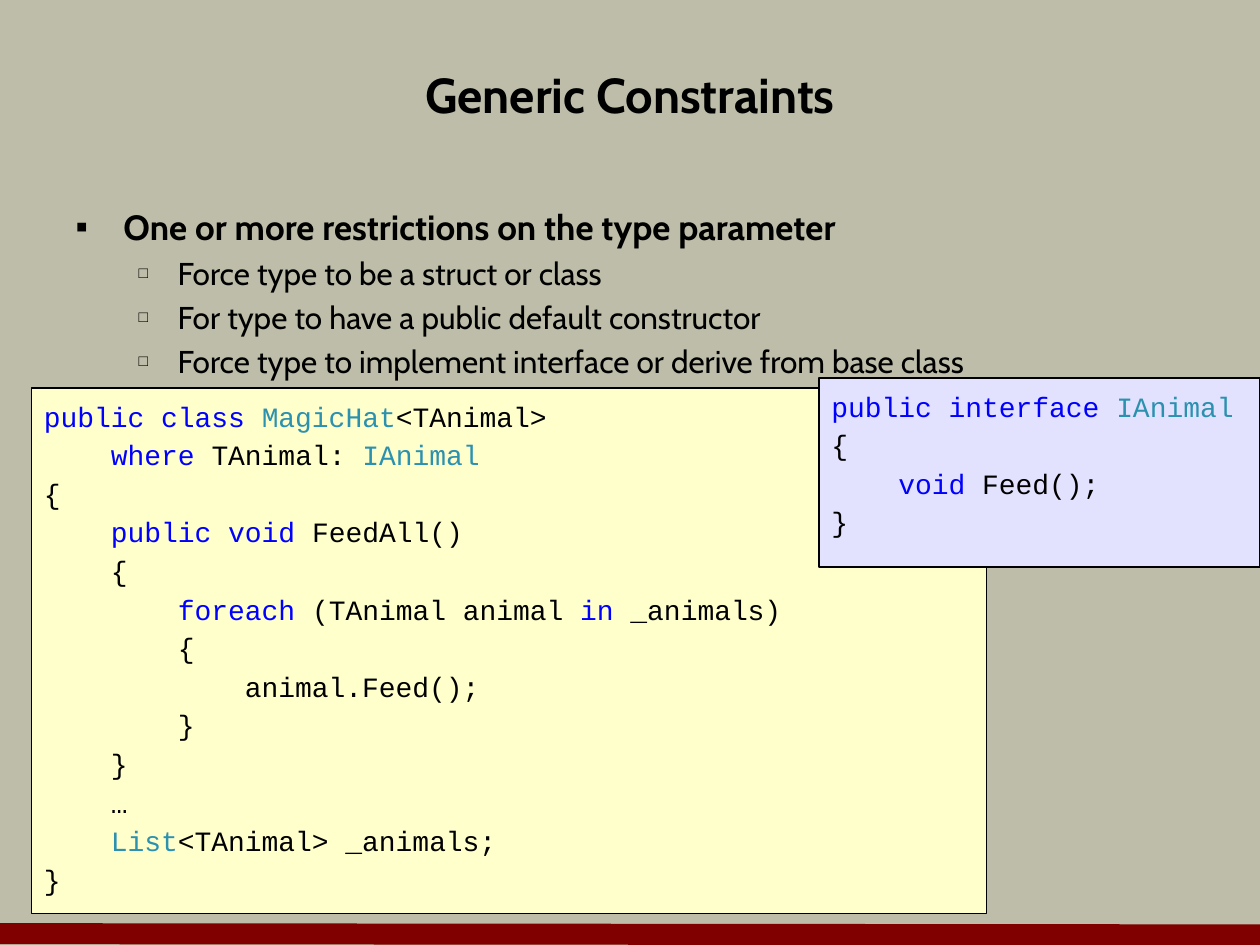
from dataclasses import dataclass

from lxml.etree import SubElement
from pptx import Presentation
from pptx.dml.color import RGBColor
from pptx.enum.shapes import MSO_CONNECTOR, MSO_SHAPE
from pptx.enum.text import MSO_ANCHOR, MSO_AUTO_SIZE, PP_ALIGN
from pptx.oxml.ns import qn
from pptx.slide import Slide
from pptx.util import Inches, Pt

COLORS = {
    "background": "BDBDA9",
    "footer": "800000",
    "text": "000000",
    "keyword": "0000FF",
    "type": "2B91AF",
    "class_box": "FFFFCC",
    "interface_box": "E2E2FF",
}

BULLETS = [
    (0, "One or more restrictions on the type parameter"),
    (1, "Force type to be a struct or class"),
    (1, "For type to have a public default constructor"),
    (1, "Force type to implement interface or derive from base class"),
]

LEVELS = [
    {"size": 20, "left": 0.38, "hanging": 0.38, "mark": "▪", "percent": 100},
    {"size": 18, "left": 0.81, "hanging": 0.31, "mark": "□", "percent": 50},
]

CLASS_CODE = [
    [("keyword", "public class "), ("type", "MagicHat"), ("text", "<TAnimal>")],
    [("keyword", "    where "), ("text", "TAnimal: "), ("type", "IAnimal")],
    [("text", "{")],
    [("keyword", "    public void "), ("text", "FeedAll()")],
    [("text", "    {")],
    [("keyword", "        foreach"), ("text", " (TAnimal animal "),
     ("keyword", "in"), ("text", " _animals)")],
    [("text", "        {")],
    [("text", "            animal.Feed();")],
    [("text", "        }")],
    [("text", "    }")],
    [("text", "    …")],
    [("type", "    List"), ("text", "<TAnimal> _animals;")],
    [("text", "}")],
]

INTERFACE_CODE = [
    [("keyword", "public interface "), ("type", "IAnimal")],
    [("text", "{")],
    [("keyword", "    void"), ("text", " Feed();")],
    [("text", "}")],
]


def color(name):
    return RGBColor.from_string(COLORS[name])


def place(shape, left, top, width, height):
    shape.left, shape.top = Inches(left), Inches(top)
    shape.width, shape.height = Inches(width), Inches(height)


@dataclass
class SlideBuilder:
    page: Slide
    text_font: str = "Cabin"
    code_font: str = "Courier New"
    code_size: int = 16

    def background(self, name):
        fill = self.page.background.fill
        fill.solid()
        fill.fore_color.rgb = color(name)

    def line(self, start, end, name, width):
        points = [Inches(value) for value in (*start, *end)]
        line = self.page.shapes.add_connector(MSO_CONNECTOR.STRAIGHT, *points)
        line.line.color.rgb = color(name)
        line.line.width = Pt(width)
        SubElement(line._element.spPr, qn("a:effectLst"))

    def style(self, para, size, bold):
        para.font.name = self.text_font
        para.font.size = Pt(size)
        para.font.bold = bold
        para.font.color.rgb = color("text")

    def title(self, text, *bounds):
        title = self.page.shapes.title
        place(title, *bounds)
        frame = title.text_frame
        frame.text = text
        frame.auto_size = MSO_AUTO_SIZE.NONE
        frame.vertical_anchor = MSO_ANCHOR.MIDDLE
        para = frame.paragraphs[0]
        para.alignment = PP_ALIGN.CENTER
        self.style(para, 28, True)

    def bullets(self, items, *bounds):
        body = self.page.placeholders[1]
        place(body, *bounds)
        frame = body.text_frame
        frame.text = "\n".join(text for _, text in items)
        frame.auto_size = MSO_AUTO_SIZE.NONE
        for index, (para, (level, _)) in enumerate(zip(frame.paragraphs, items)):
            look = LEVELS[level]
            para.level = level
            para.space_before = Pt(look["size"] * 0.2 if index else 0)
            properties = para._p.get_or_add_pPr()
            properties.set("marL", str(Inches(look["left"])))
            properties.set("indent", str(-Inches(look["hanging"])))
            SubElement(properties, qn("a:buSzPct"), val=str(look["percent"] * 1000))
            SubElement(properties, qn("a:buChar"), char=look["mark"])
            self.style(para, look["size"], level == 0)

    def code(self, lines, fill, *bounds):
        box = self.page.shapes.add_shape(
            MSO_SHAPE.RECTANGLE, *[Inches(value) for value in bounds])
        box.shadow.inherit = False
        box.fill.solid()
        box.fill.fore_color.rgb = color(fill)
        box.line.color.rgb = color("text")
        box.line.width = Pt(0.75)
        frame = box.text_frame
        frame.word_wrap = True
        frame.vertical_anchor = MSO_ANCHOR.TOP
        for index, spans in enumerate(lines):
            para = frame.add_paragraph() if index else frame.paragraphs[0]
            para.alignment = PP_ALIGN.LEFT
            para.line_spacing = 1.15
            para.font.name = self.code_font
            para.font.size = Pt(self.code_size)
            for name, text in spans:
                span = para.add_run()
                span.text = text
                span.font.color.rgb = color(name)


def main():
    deck = Presentation()
    deck.slide_width, deck.slide_height = Inches(10), Inches(7.5)
    builder = SlideBuilder(deck.slides.add_slide(deck.slide_layouts[1]))
    builder.background("background")
    builder.line((0, 7.41), (10, 7.42), "footer", 12)
    builder.title("Generic Constraints", 0.5, 0.33, 9, 0.83)
    builder.bullets(BULLETS, 0.5, 1.58, 9, 4.92)
    builder.code(CLASS_CODE, "class_box", 0.25, 3.08, 7.58, 4.17)
    builder.code(INTERFACE_CODE, "interface_box", 6.5, 3, 3.5, 1.5)
    deck.save("out.pptx")


if __name__ == "__main__":
    main()
